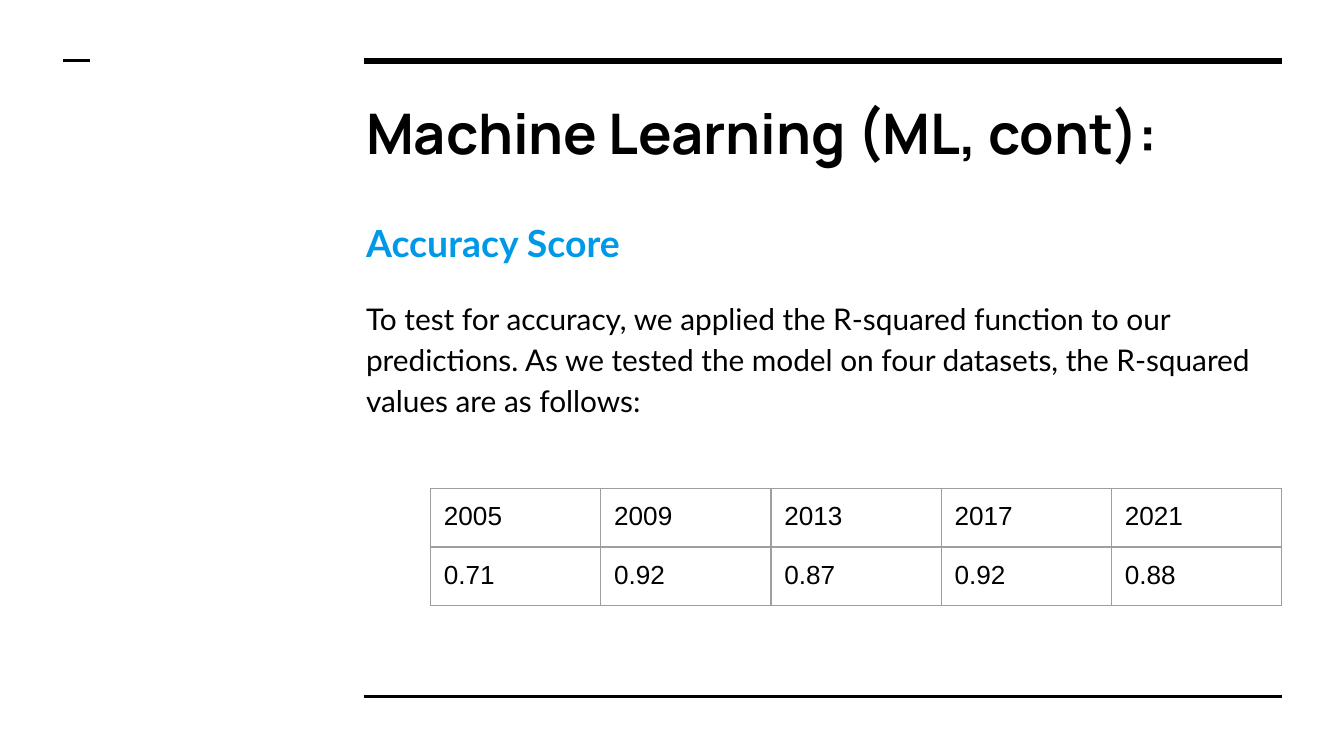
from pptx import Presentation
from pptx.dml import color as c
from pptx.enum import shapes, text
from pptx.oxml import ns, xmlchemy as x
from pptx.util import Pt
from lxml import etree

COLORS = {"ink": "000000", "accent": "0099E8", "grid": "9E9E9E"}
INSET = Pt(7.2)
MARGINS = dict.fromkeys(
    ("margin_left", "margin_top", "margin_right", "margin_bottom"), INSET)

TITLE = {"name": "Manrope", "size": Pt(30), "bold": True}
HEADING = {"name": "Lato", "size": Pt(20), "bold": True}
BODY = {"name": "Lato", "size": Pt(16), "bold": False}
CELL = {"name": "Arial", "size": Pt(14), "bold": False}

SCORES = {"2005": "0.71", "2009": "0.92", "2013": "0.87",
          "2017": "0.92", "2021": "0.88"}


def apply_format(target, values):
    for name, value in values.items():
        setattr(target, name, value)


def write_para(para, words, font, color="ink", spacing=None):
    apply_format(para, {"alignment": text.PP_ALIGN.LEFT, **(spacing or {})})
    span = para.add_run()
    span.text = words
    apply_format(span.font, font)
    span.font.color.rgb = c.RGBColor.from_string(COLORS[color])


def add_text_frame(page, box):
    frame = page.shapes.add_textbox(*map(Pt, box)).text_frame
    apply_format(frame, {"word_wrap": True, **MARGINS,
                         "vertical_anchor": text.MSO_ANCHOR.TOP})
    return frame


def add_rule(page, left, top, width, weight):
    rule = page.shapes.add_connector(
        shapes.MSO_CONNECTOR.STRAIGHT,
        Pt(left), Pt(top), Pt(left + width), Pt(top))
    rule.line.width = Pt(weight)
    rule.line.color.rgb = c.RGBColor.from_string(COLORS["ink"])
    etree.SubElement(rule._element.spPr, ns.qn("a:effectLst"))


def add_frame_rules(page, box):
    left, top, width, height = box
    add_rule(page, left, top, width, 3)
    add_rule(page, left, top + height, width, 1.5)
    add_rule(page, 33.8, top, 14.4, 1.5)


def add_title(page, box):
    frame = add_text_frame(page, box)
    write_para(frame.paragraphs[0], "Machine Learning (ML, cont):", TITLE)


def add_body(page, box):
    frame = add_text_frame(page, box)
    write_para(frame.paragraphs[0], "Accuracy Score", HEADING, "accent",
               {"line_spacing": 1.15})
    write_para(
        frame.add_paragraph(),
        "To test for accuracy, we applied the R-squared function to our "
        "predictions. As we tested the model on four datasets, the R-squared "
        "values are as follows:",
        BODY, spacing={"line_spacing": 1.15, "space_before": Pt(16),
                       "space_after": Pt(12)})


def add_borders(cell):
    properties = cell._tc.get_or_add_tcPr()
    for position, side in enumerate(("lnL", "lnR", "lnT", "lnB")):
        border = etree.Element(ns.qn("a:" + side), w=str(Pt(0.75)))
        fill = etree.SubElement(border, ns.qn("a:solidFill"))
        etree.SubElement(fill, ns.qn("a:srgbClr"), val=COLORS["grid"])
        properties.insert(position, border)


def add_score_table(page, box):
    rows = (list(SCORES), list(SCORES.values()))
    table = page.shapes.add_table(
        len(rows), len(SCORES), *map(Pt, box)).table
    apply_format(table, {"first_row": False, "horz_banding": False})
    for row, values in enumerate(rows):
        for column, value in enumerate(values):
            cell = table.cell(row, column)
            apply_format(cell, MARGINS)
            cell.fill.background()
            write_para(cell.text_frame.paragraphs[0], value, CELL)
            add_borders(cell)


def main():
    deck = Presentation()
    apply_format(deck, {"slide_width": Pt(720), "slide_height": Pt(405)})
    page = deck.slides.add_slide(deck.slide_layouts[6])
    add_frame_rules(page, (195, 32.6, 492, 340.4))
    add_title(page, (189, 45.4, 497.5, 49.7))
    add_body(page, (189, 107.3, 497.5, 255.6))
    add_score_table(page, (230.6, 261.8, 456, 60.4))
    deck.save("out.pptx")


if __name__ == "__main__":
    main()
